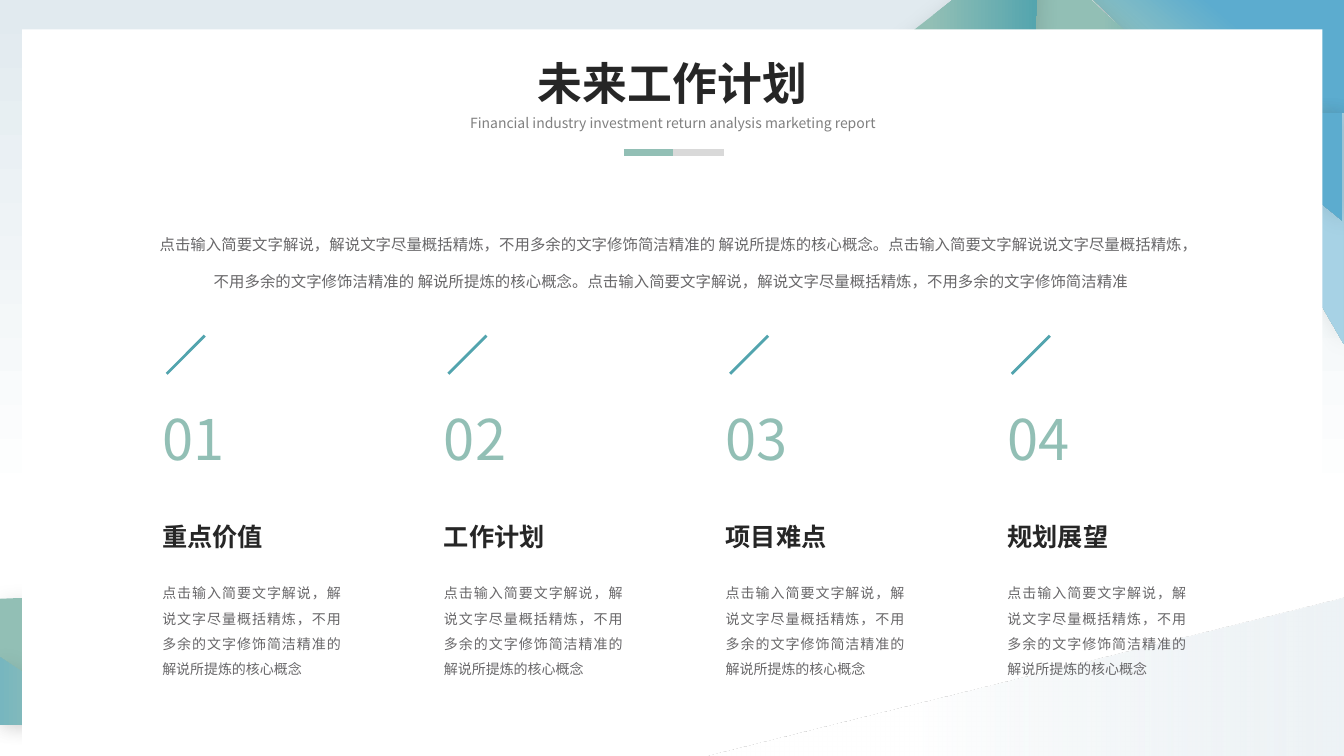
import pptx
import pptx.dml.color
import pptx.enum.shapes
import pptx.enum.text
import pptx.oxml
import pptx.oxml.ns
import pptx.util

Cm, Pt = pptx.util.Cm, pptx.util.Pt
Preset = pptx.enum.shapes.MSO_SHAPE
Align = pptx.enum.text.PP_ALIGN
AutoSize = pptx.enum.text.MSO_AUTO_SIZE
qn = pptx.oxml.ns.qn

INK, GREY, SILVER, PALE, WHITE = "262626", "686769", "D9D9D9", "E1EAEF", "FFFFFF"
SAGE, TEAL, MINT, BLUE, SKY = "92BFB5", "52A4AE", "B6D3B7", "5CACCF", "A7D2E5"

BODY = "点击输入简要文字解说，解说文字尽量概括精炼，不用多余的文字修饰简洁精准的 解说所提炼的核心概念"
INTRO = (BODY + "。点击输入简要文字解说说文字尽量概括精炼，不用多余的文字修饰洁精准的 "
         "解说所提炼的核心概念。点击输入简要文字解说，解说文字尽量概括精炼，不用多余的文字修饰简洁精准")
HEADINGS = ["重点价值", "工作计划", "项目难点", "规划展望"]


def color(value):
    """Turn a hex string into a colour."""
    return pptx.dml.color.RGBColor.from_string(value)


def drawing(tag, attributes="", inner=""):
    """Make a DrawingML element."""
    names = pptx.oxml.ns.nsdecls("a")
    return pptx.oxml.parse_xml(f"<a:{tag} {names} {attributes}>{inner}</a:{tag}>")


class Painter:
    """Holds the style and the current slide."""

    font = "Noto Sans CJK SC"

    def __init__(self, page):
        self.page = page

    def paint(self, shape, stops, angle=0, shadow=False):
        """Fill with a plain colour or with (position, colour, opacity) stops."""
        shape.fill.solid()
        shape.line.fill.background()
        shape.shadow.inherit = False
        properties = shape._element.spPr
        if isinstance(stops, str):
            shape.fill.fore_color.rgb = color(stops)
        else:
            marks = "".join(
                f'<a:gs pos="{position * 1000}"><a:srgbClr val="{shade}">'
                f'<a:alpha val="{opacity * 1000}"/></a:srgbClr></a:gs>'
                for position, shade, opacity in stops)
            gradient = drawing("gradFill", 'rotWithShape="1"',
                               f'<a:gsLst>{marks}</a:gsLst><a:lin ang="{angle * 60000}" scaled="0"/>')
            properties.replace(properties.find(qn("a:solidFill")), gradient)
        if shadow:
            properties.find(qn("a:effectLst")).append(drawing(
                "outerShdw", f'blurRad="{Pt(15)}" dist="{Pt(3)}" dir="2700000"',
                '<a:srgbClr val="000000"><a:alpha val="10000"/></a:srgbClr>'))

    def preset(self, kind, area, stops, angle=0, shadow=False, flip=None):
        """Draw a preset shape; triangles have their apex at one end."""
        shape = self.page.shapes.add_shape(kind, *map(Cm, area))
        if kind == Preset.ISOSCELES_TRIANGLE:
            shape.adjustments[0] = 1
        if flip:
            shape._element.spPr.find(qn("a:xfrm")).set(flip, "1")
        self.paint(shape, stops, angle, shadow)

    def polygon(self, points, stops, angle=0):
        """Draw a closed outline with a soft shadow."""
        start, *rest = [(Cm(x), Cm(y)) for x, y in points]
        builder = self.page.shapes.build_freeform(*start, scale=1.0)
        builder.add_line_segments(rest, close=True)
        self.paint(builder.convert_to_shape(), stops, angle, True)

    def line(self, ends, shade, weight):
        """Draw a straight line."""
        connector = self.page.shapes.add_connector(
            pptx.enum.shapes.MSO_CONNECTOR.STRAIGHT, *map(Cm, ends))
        connector.line.color.rgb = color(shade)
        connector.line.width = Pt(weight)
        connector._element.spPr.append(drawing("effectLst"))

    def text(self, area, words, size, shade, align=Align.LEFT, spacing=1.0, bold=False, wrap=True):
        """Write one paragraph."""
        box = self.page.shapes.add_textbox(*map(Cm, area))
        frame = box.text_frame
        frame.text = words
        frame.word_wrap = wrap
        frame.auto_size = AutoSize.SHAPE_TO_FIT_TEXT
        para = frame.paragraphs[0]
        para.alignment = align
        para.line_spacing = spacing
        for span in para.runs:
            span.font.name = self.font
            span.font.size = Pt(size)
            span.font.bold = bold
            span.font.color.rgb = color(shade)
            span.font._element.find(qn("a:latin")).addnext(
                drawing("ea", f'typeface="{self.font}"'))


def fade(first, start, last, end):
    """Give two opaque gradient stops."""
    return [(start, first, 100), (end, last, 100)]


def draw_backdrop(painter):
    """Draw the coloured facets and the white card."""
    triangle = Preset.ISOSCELES_TRIANGLE
    painter.preset(Preset.RECTANGLE, (0, 0, 33.87, 19.05), fade(PALE, 0, WHITE, 67), 90)
    painter.polygon([(3.07, 18.24), (0.74, 15.06), (-0.03, 15.09), (-0.05, 18.24)],
                    fade(SAGE, 37, TEAL, 76), 20)
    painter.preset(triangle, (0, 16.56, 2.59, 1.7), fade(SAGE, 45, "77B6BF", 100), 0, True, "flipH")
    for area, stops, angle in [
        ((27.56, 0, 6.32, 6.17), fade(MINT, 31, BLUE, 75), 50),
        ((30.51, 2.84, 3.35, 5.82), fade(SAGE, 0, SKY, 63), 0),
        ((30.48, 2.84, 3.35, 2.72), fade(SAGE, 0, BLUE, 65), 0),
    ]:
        painter.preset(triangle, area, stops, angle, True, "flipV")
    painter.polygon([(25.88, 6.32), (26.09, -1.35), (30.58, 2.92)], fade(SAGE, 40, TEAL, 93))
    painter.polygon([(25.88, 6.35), (21.82, 1.7), (26.19, -1.7)], fade(SAGE, 37, TEAL, 100))
    painter.preset(Preset.RECTANGLE, (0.56, 0.74, 32.77, 18.34), WHITE)
    painter.preset(triangle, (17.73, 15.06, 16.18, 4.01),
                   [(0, PALE, 57), (67, WHITE, 100)], 180)


def draw_header(painter):
    """Write the title, subtitle and two-tone underline."""
    painter.line((15.72, 3.84, 16.99, 3.84), SAGE, 4.5)
    painter.line((16.97, 3.84, 18.24, 3.84), SILVER, 4.5)
    painter.text((13.28, 1.27, 7.34, 1.63), "未来工作计划", 32, INK, Align.CENTER, bold=True, wrap=False)
    painter.text((9.22, 2.77, 15.47, 0.69),
                 "Financial industry investment return analysis marketing report",
                 10, "808080", Align.CENTER)


def draw_column(painter, index, heading):
    """Draw one numbered plan column."""
    left = 3.84 + 7.1 * index
    painter.text((left, 14.4, 5, 2.82), BODY, 10, GREY, Align.JUSTIFY, 1.5)
    painter.text((left, 12.78, 3.07, 1.17), heading, 18, INK, spacing=1.3, bold=True, wrap=False)
    painter.text((left, 9.55, 2.18, 2.26), f"{index + 1:02}", 40, SAGE, spacing=1.3, wrap=False)
    painter.line((left + 0.36, 9.42, left + 1.32, 8.46), TEAL, 2)


deck = pptx.Presentation()
deck.slide_width, deck.slide_height = Cm(33.87), Cm(19.05)
painter = Painter(deck.slides.add_slide(deck.slide_layouts[6]))
draw_backdrop(painter)
for index, heading in enumerate(HEADINGS):
    draw_column(painter, index, heading)
painter.text((3.71, 5.33, 26.42, 4.11), INTRO, 11, GREY, Align.CENTER, 2.0)
draw_header(painter)
deck.save("out.pptx")
